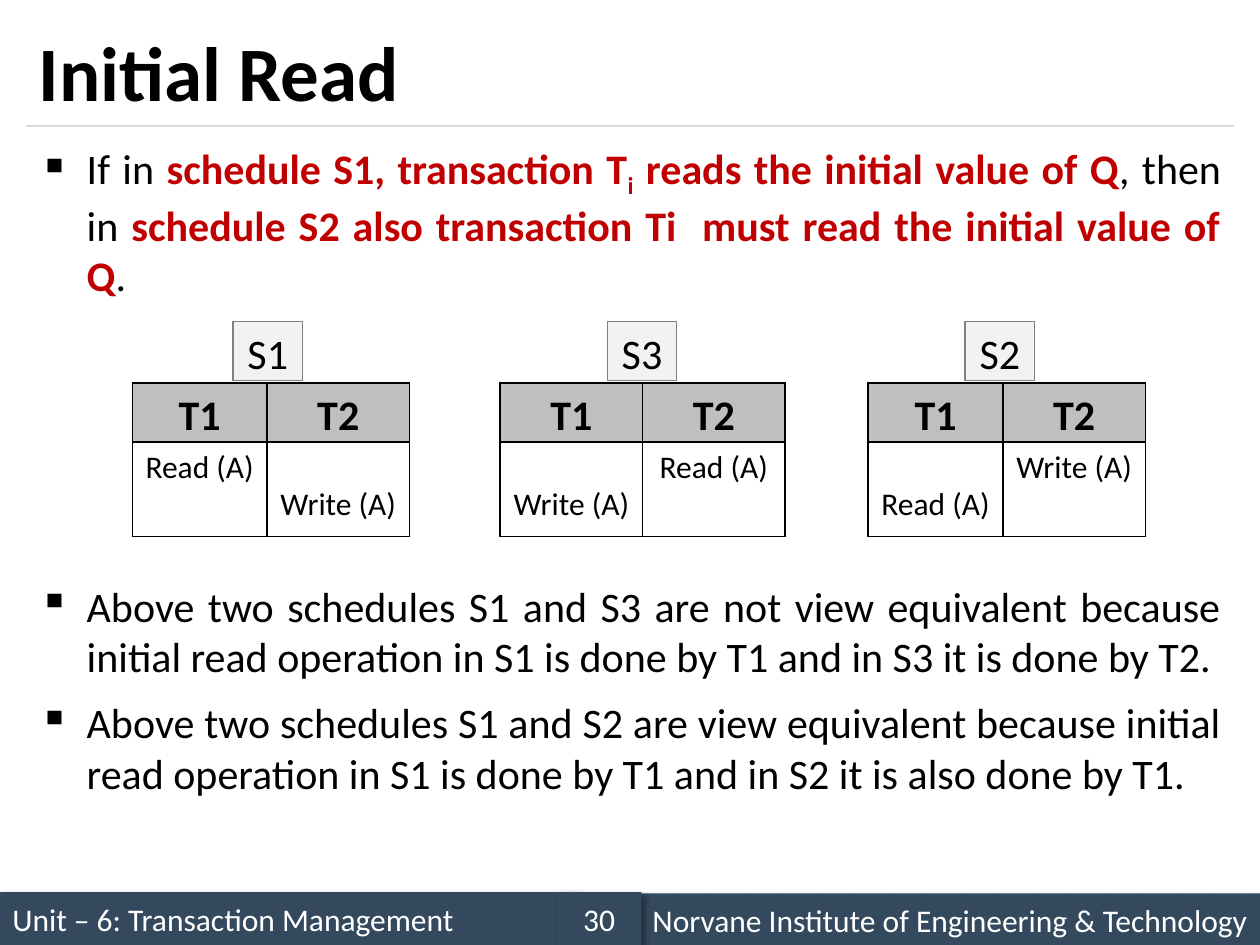
from lxml import etree
from pptx import Presentation
from pptx.dml.color import RGBColor
from pptx.enum.shapes import MSO_CONNECTOR, MSO_SHAPE
from pptx.enum.text import MSO_ANCHOR, PP_ALIGN
from pptx.oxml.ns import qn
from pptx.util import Inches, Pt

LEFT, CENTER, JUSTIFY = PP_ALIGN.LEFT, PP_ALIGN.CENTER, PP_ALIGN.JUSTIFY
TOP, MIDDLE = MSO_ANCHOR.TOP, MSO_ANCHOR.MIDDLE
RECT, STRAIGHT = MSO_SHAPE.RECTANGLE, MSO_CONNECTOR.STRAIGHT
BLACK, WHITE, RED, NAVY = "000000", "FFFFFF", "C00000", "34495E"


def rgb(value):
    return RGBColor.from_string(value)


def sub(parent, tag, **attrs):
    return etree.SubElement(parent, qn(tag), attrs)


def style(p, size, color=BLACK, bold=False, align=LEFT):
    p.alignment = align
    p.font.name, p.font.size, p.font.bold = "Calibri", Pt(size), bold
    p.font.color.rgb = rgb(color)


def add_box(slide, box, text, size, fill, color=BLACK, align=CENTER, anchor=TOP):
    sp = slide.shapes.add_shape(RECT, *map(Inches, box))
    sp.shadow.inherit = False
    sp.fill.solid()
    sp.fill.fore_color.rgb = rgb(fill)
    sp.line.fill.background()
    tf = sp.text_frame
    tf.vertical_anchor = anchor
    tf.word_wrap = False
    tf.text = text
    style(tf.paragraphs[0], size, color, align=align)
    return sp


def add_text(slide, box, anchor=TOP):
    tf = slide.shapes.add_textbox(*map(Inches, box)).text_frame
    tf.word_wrap = True
    tf.vertical_anchor = anchor
    return tf


def add_footer(slide, box, text, align=LEFT):
    sp = add_box(slide, box, text, 18, NAVY, WHITE, align, MIDDLE)
    effects = sp._element.spPr.find(qn("a:effectLst"))
    shadow = sub(effects, "a:outerShdw", blurRad=str(Pt(4)), dist=str(Pt(3)),
                 dir="2700000", algn="tl", rotWithShape="0")
    sub(sub(shadow, "a:srgbClr", val=BLACK), "a:alpha", val="40000")


def add_title(slide, box, text):
    left, top, width, height = box
    tf = add_text(slide, box, MIDDLE)
    tf.text = text
    style(tf.paragraphs[0], 44, bold=True)
    rule = slide.shapes.add_connector(
        STRAIGHT, *map(Inches, (left, top + height, left + width, top + height)))
    rule.line.color.rgb = rgb("D9D9D9")
    rule.line.width = Pt(0.75)
    sub(rule._element.spPr, "a:effectLst")


def add_bullets(slide, box, items):
    """Each item is (space before, [(text, emphasised, subscript), ...])."""
    tf = add_text(slide, box)
    for i, (space, runs) in enumerate(items):
        p = tf.add_paragraph() if i else tf.paragraphs[0]
        style(p, 24, align=JUSTIFY)
        p.space_before = Pt(space)
        pPr = p._p.get_or_add_pPr()
        pPr.set("marL", str(Inches(0.38)))
        pPr.set("indent", str(-Inches(0.38)))
        bullet = etree.Element(qn("a:buChar"), char="▪")
        pPr.find(qn("a:defRPr")).addprevious(bullet)
        for text, strong, subscript in runs:
            r = p.add_run()
            r.text = text
            r.font.name, r.font.size, r.font.bold = "Calibri", Pt(24), strong
            r.font.color.rgb = rgb(RED if strong else BLACK)
            if subscript:
                r._r.get_or_add_rPr().set("baseline", "-25000")


def set_borders(cell):
    tcPr = cell._tc.get_or_add_tcPr()
    for i, side in enumerate(("a:lnL", "a:lnR", "a:lnT", "a:lnB")):
        ln = etree.Element(qn(side), w=str(Pt(1)))
        sub(sub(ln, "a:solidFill"), "a:srgbClr", val=BLACK)
        tcPr.insert(i, ln)


def add_schedule(slide, left, top, name, label_left, widths, steps):
    """Label above a table; steps holds (operation, line number) per column."""
    rows = (0.47, 0.75)
    frame = slide.shapes.add_table(
        2, 2, *map(Inches, (left, top, sum(widths), sum(rows))))
    table = frame.table
    table.first_row = table.horz_banding = False
    for row, height in zip(table.rows, rows):
        row.height = Inches(height)
    for c, (width, (step, line)) in enumerate(zip(widths, steps)):
        table.columns[c].width = Inches(width)
        for r, text in enumerate((f"T{c + 1}", step)):
            cell = table.cell(r, c)
            cell.margin_left = cell.margin_right = Inches(0.07)
            cell.margin_top = Inches(0.3 * line * r)
            cell.margin_bottom = 0
            cell.text = text
            p = cell.text_frame.paragraphs[0]
            style(p, 18 if r else 24, bold=r == 0, align=CENTER)
            p.line_spacing = 1.15
            if r:
                cell.fill.background()
            else:
                cell.fill.solid()
                cell.fill.fore_color.rgb = rgb("BFBFBF")
            set_borders(cell)
    label = add_box(slide, (label_left, top - 0.49, 0.55, 0.47), name, 24, "F2F2F2")
    label.line.color.rgb = rgb("808080")
    label.line.width = Pt(0.75)


prs = Presentation()
prs.slide_width, prs.slide_height = Inches(10), Inches(7.5)
slide = prs.slides.add_slide(prs.slide_layouts[6])

# Footer
add_footer(slide, (0, 7.08, 4.58, 0.42), "Unit – 6: Transaction Management")
add_footer(slide, (5.08, 7.09, 4.92, 0.42),
           "Norvane Institute of Engineering & Technology")
add_footer(slide, (4.42, 7.08, 0.67, 0.42), "30", CENTER)

# Title and body; the second bullet leaves room for the schedules
add_title(slide, (0.21, 0.12, 9.58, 0.88), "Initial Read")
add_bullets(slide, (0.21, 1.08, 9.58, 5.83), [
    (9, [("If in ", False, False),
         ("schedule S1, transaction T", True, False),
         ("i", True, True),
         (" reads the initial value of Q", True, False),
         (", then in ", False, False),
         ("schedule S2 also transaction Ti  must read the initial value of Q",
          True, False),
         (".", False, False)]),
    (160, [("Above two schedules S1 and S3 are not view equivalent because initial "
            "read operation in S1 is done by T1 and in S3 it is done by T2.",
            False, False)]),
    (9, [("Above two schedules S1 and S2 are view equivalent because initial "
          "read operation in S1 is done by T1 and in S2 it is also done by T1.",
          False, False)]),
])

# Schedules
READ, WRITE = "Read (A)", "Write (A)"
schedules = [
    ("S1", 1.85, (1.07, 1.13), ((READ, 0), (WRITE, 1))),
    ("S3", 4.82, (1.13, 1.13), ((WRITE, 1), (READ, 0))),
    ("S2", 7.66, (1.07, 1.13), ((READ, 1), (WRITE, 0))),
]
for i, schedule in enumerate(schedules):
    add_schedule(slide, 1.05 + 2.92 * i, 3.04, *schedule)

prs.save("out.pptx")
